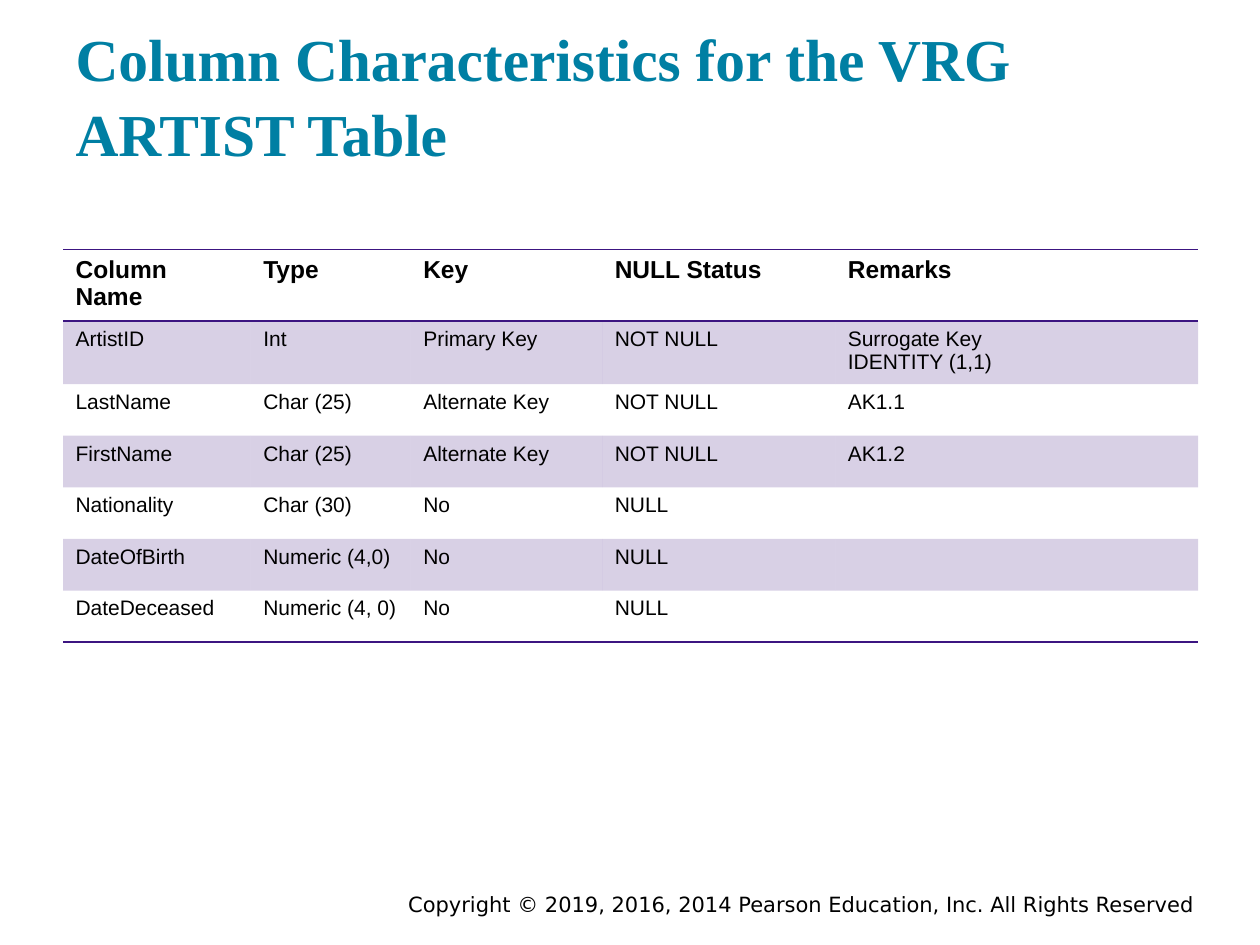
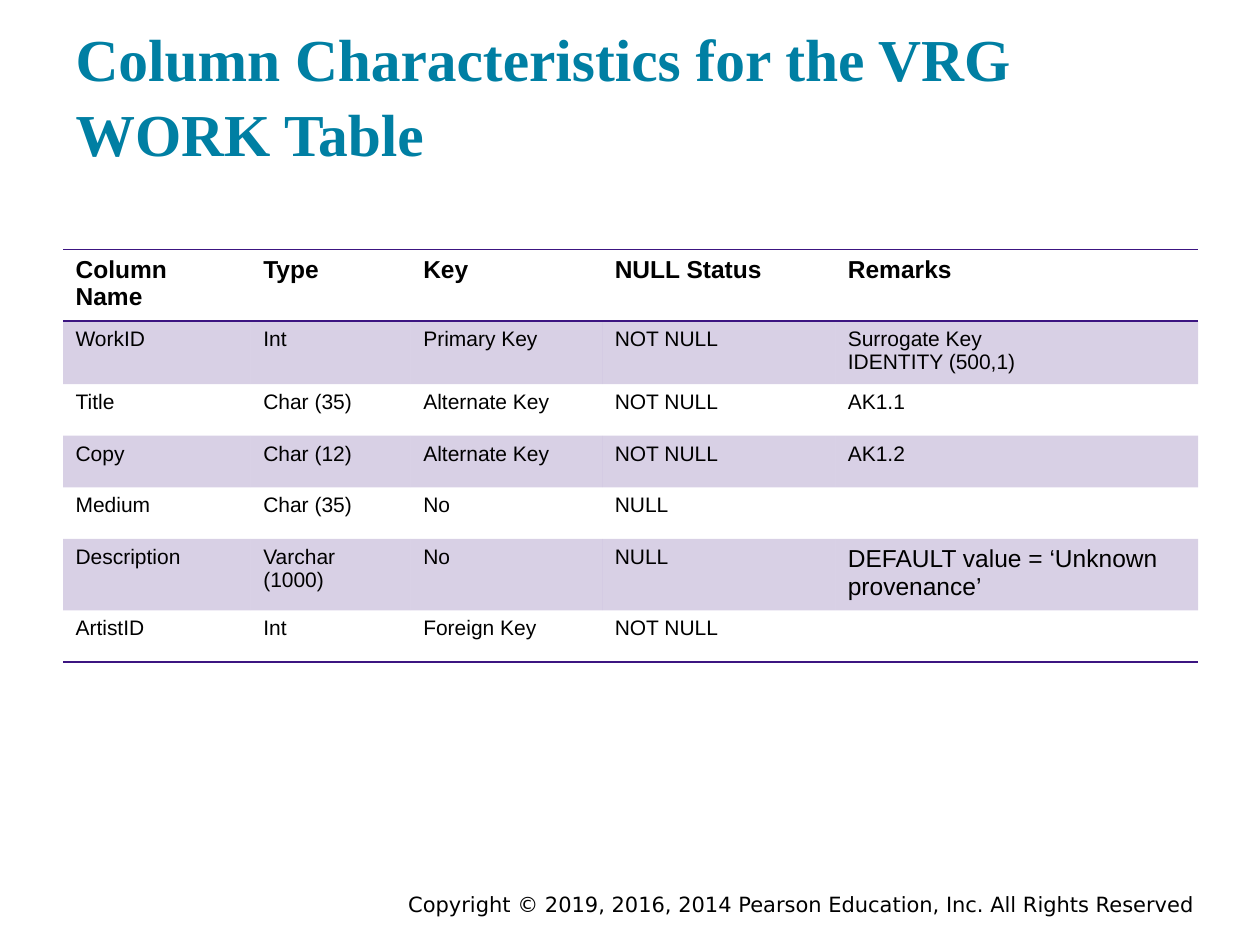
from lxml import etree
from pptx import Presentation
from pptx.dml.color import RGBColor
from pptx.enum.text import MSO_ANCHOR, MSO_AUTO_SIZE, PP_ALIGN
from pptx.oxml.ns import qn
from pptx.util import Inches, Pt

COLORS = {"title": "007FA3", "text": "000000", "accent": "3C1581"}
BAND_OPACITY = 20000
NO_GRID_STYLE = "{2D5ABB26-0587-4C30-8999-92F81FD0307C}"
COPYRIGHT = "Copyright © 2019, 2016, 2014 Pearson Education, Inc. All Rights Reserved"
COLUMN_WIDTHS = [1.49, 1.27, 1.52, 1.85, 2.88]
ROW_HEIGHT = 0.41
HEADINGS = ["Column Name", "Type", "Key", "NULL Status", "Remarks"]

# Each table: name and rows; a line break in a cell starts a new paragraph
TABLES = [
    ("ARTIST", [
        ["ArtistID", "Int", "Primary Key", "NOT NULL", "Surrogate Key\nIDENTITY (1,1)"],
        ["LastName", "Char (25)", "Alternate Key", "NOT NULL", "AK1.1"],
        ["FirstName", "Char (25)", "Alternate Key", "NOT NULL", "AK1.2"],
        ["Nationality", "Char (30)", "No", "NULL", ""],
        ["DateOfBirth", "Numeric (4,0)", "No", "NULL", ""],
        ["DateDeceased", "Numeric (4, 0)", "No", "NULL", ""],
    ]),
    ("WORK", [
        ["WorkID", "Int", "Primary Key", "NOT NULL", "Surrogate Key\nIDENTITY (500,1)"],
        ["Title", "Char (35)", "Alternate Key", "NOT NULL", "AK1.1"],
        ["Copy", "Char (12)", "Alternate Key", "NOT NULL", "AK1.2"],
        ["Medium", "Char (35)", "No", "NULL", ""],
        ["Description", "Varchar (1000)", "No", "NULL",
         "DEFAULT value = ‘Unknown\nprovenance’"],
        ["ArtistID", "Int", "Foreign Key", "NOT NULL", ""],
    ]),
]


def add_run(paragraph, text, size, font, color, bold=False):
    run = paragraph.add_run()
    run.text = text
    run.font.size = Pt(size)
    run.font.name = font
    run.font.bold = bold
    run.font.color.rgb = RGBColor.from_string(COLORS[color])


def add_rule(cell, side):
    line = etree.SubElement(cell._tc.get_or_add_tcPr(), qn(f"a:{side}"), w=str(Pt(1)))
    fill = etree.SubElement(line, qn("a:solidFill"))
    etree.SubElement(fill, qn("a:srgbClr"), val=COLORS["accent"])


prs = Presentation()
prs.slide_width, prs.slide_height = Inches(10), Inches(7.5)

for table_name, column_rows in TABLES:
    slide = prs.slides.add_slide(prs.slide_layouts[5])

    # Title
    title = slide.shapes.title
    title.left, title.top = Inches(0.5), Inches(0.24)
    title.width, title.height = Inches(9), Inches(1.2)
    frame = title.text_frame
    frame.auto_size = MSO_AUTO_SIZE.NONE
    frame.vertical_anchor = MSO_ANCHOR.BOTTOM
    frame.margin_left = frame.margin_right = Inches(0.1)
    frame.margin_top = frame.margin_bottom = Inches(0.1)
    heading = frame.paragraphs[0]
    heading.alignment = PP_ALIGN.LEFT
    heading.line_spacing = 1.05
    add_run(heading, f"Column Characteristics for the VRG {table_name} Table",
            34, "Times New Roman", "title", bold=True)

    # Copyright footer
    footer = slide.shapes.add_textbox(Inches(1.75), Inches(7.03), Inches(7.83), Inches(0.22))
    footer.text_frame.word_wrap = True
    notice = footer.text_frame.paragraphs[0]
    notice.alignment = PP_ALIGN.RIGHT
    add_run(notice, COPYRIGHT, 12, "DejaVu Sans", "text")

    # Column table
    rows = [HEADINGS] + column_rows
    last = len(rows) - 1
    table = slide.shapes.add_table(
        len(rows), len(HEADINGS), Inches(0.5), Inches(1.98),
        Inches(sum(COLUMN_WIDTHS)), Inches(ROW_HEIGHT * len(rows))).table
    table._tbl.tblPr.find(qn("a:tableStyleId")).text = NO_GRID_STYLE
    table.horz_banding = False
    for column, width in zip(table.columns, COLUMN_WIDTHS):
        column.width = Inches(width)

    for r, values in enumerate(rows):
        table.rows[r].height = Inches(ROW_HEIGHT)
        for c, value in enumerate(values):
            cell = table.cell(r, c)

            # Rules above and below the headings and under the last row
            if r == 0:
                add_rule(cell, "lnT")
            if r in (0, last):
                add_rule(cell, "lnB")

            # Tinted odd rows
            if r % 2:
                cell.fill.solid()
                cell.fill.fore_color.rgb = RGBColor.from_string(COLORS["accent"])
                tint = cell._tc.tcPr.find(qn("a:solidFill")).find(qn("a:srgbClr"))
                etree.SubElement(tint, qn("a:alpha"), val=str(BAND_OPACITY))
            else:
                cell.fill.background()

            # Cell text
            size = 14 if r == 0 or value.startswith("DEFAULT") else 12
            for i, text in enumerate(value.split("\n") if value else []):
                cell_frame = cell.text_frame
                paragraph = cell_frame.add_paragraph() if i else cell_frame.paragraphs[0]
                add_run(paragraph, text, size, "Arial", "text", bold=r == 0)

prs.save("out.pptx")
